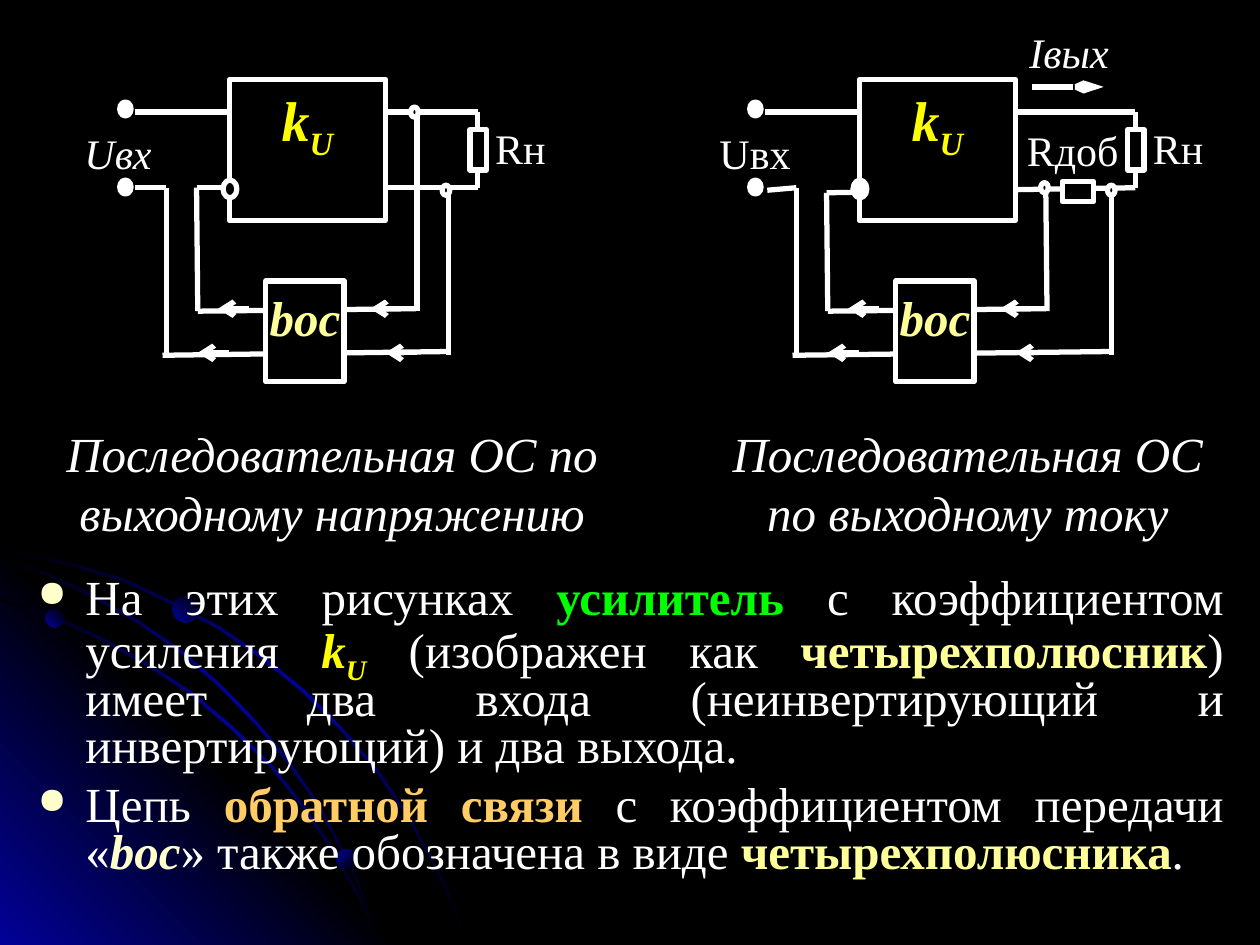
from lxml.etree import SubElement
from pptx import Presentation
from pptx.dml.color import RGBColor
from pptx.enum.shapes import MSO_CONNECTOR, MSO_SHAPE
from pptx.enum.text import MSO_ANCHOR, PP_ALIGN
from pptx.oxml.ns import qn
from pptx.util import Inches, Pt

WHITE = RGBColor(0xFF, 0xFF, 0xFF)
BLACK = RGBColor(0x00, 0x00, 0x00)
BLUE = RGBColor(0x01, 0x01, 0x99)
GREEN = RGBColor(0x00, 0xFF, 0x00)
YELLOW = RGBColor(0xFF, 0xFF, 0x00)
PALE = RGBColor(0xFF, 0xFF, 0x99)
CREAM = RGBColor(0xFF, 0xFF, 0xCC)
ORANGE = RGBColor(0xFF, 0xCC, 0x66)
FONT = "Times New Roman"

# The slide is a grid of 10 columns by 7.5 rows
COLS, ROWS = 10, 7.5
prs = Presentation()
prs.slide_width, prs.slide_height = Inches(COLS), Inches(ROWS)
CELL = prs.slide_width / COLS
s = prs.slides.add_slide(prs.slide_layouts[6])
s.background.fill.solid()
s.background.fill.fore_color.rgb = BLACK


def grid(*values):
    return [round(v * CELL) for v in values]


def add_run(p, text, size=28, color=WHITE, bold=False, italic=False, sub=False):
    r = p.add_run()
    r.text = text
    f = r.font
    f.name, f.size, f.bold, f.italic = FONT, Pt(size), bold, italic
    f.color.rgb = color
    if sub:
        f._element.set("baseline", "-25000")


def set_frame(sp, inset_x=0, inset_y=0, align=PP_ALIGN.LEFT):
    tf = sp.text_frame
    tf.word_wrap, tf.vertical_anchor = True, MSO_ANCHOR.TOP
    tf.margin_left = tf.margin_right = Inches(inset_x)
    tf.margin_top = tf.margin_bottom = Inches(inset_y)
    tf.paragraphs[0].alignment = align
    return tf


def label(x, y, w, h, text, align=PP_ALIGN.LEFT, **fmt):
    sp = s.shapes.add_textbox(*grid(x, y, w, h))
    add_run(set_frame(sp, align=align).paragraphs[0], text, **fmt)


def outlined(kind, x, y, w, h, fill=BLACK):
    sp = s.shapes.add_shape(kind, *grid(x, y, w, h))
    sp.shadow.inherit = False
    sp.fill.solid()
    sp.fill.fore_color.rgb = fill
    sp.line.color.rgb, sp.line.width = WHITE, Pt(3)
    return sp


def wire(x1, y1, x2, y2, head=None):
    c = s.shapes.add_connector(MSO_CONNECTOR.STRAIGHT, *grid(x1, y1, x2, y2))
    c.line.color.rgb, c.line.width = WHITE, Pt(3)
    if head:
        SubElement(c.line._get_or_add_ln(), qn("a:tailEnd"),
                   type="arrow", w=head[0], len=head[1])
    SubElement(c._element.spPr, qn("a:effectLst"))


def shade(sp, colors, angle):
    """Spread the colours evenly along a clockwise angle."""
    sp.shadow.inherit = False
    sp.line.fill.background()
    sp.fill.gradient()
    sp.fill.gradient_angle = 360 - angle
    stops = sp._element.spPr.find(".//" + qn("a:gsLst"))
    for gs in list(stops):
        stops.remove(gs)
    for i, color in enumerate(colors):
        gs = SubElement(stops, qn("a:gs"), pos=str(i * 100000 // (len(colors) - 1)))
        SubElement(gs, qn("a:srgbClr"), val=str(color))


def outline(points):
    first, *rest = [grid(*pt) for pt in points]
    fb = s.shapes.build_freeform(*first)
    fb.add_line_segments(rest, close=True)
    return fb.convert_to_shape()


# Background: glowing corner, thin orbits and their planets
def backdrop(bottom):
    orbits = [
        [(0, 4.35), (0.57, 4.47), (0.98, 4.59), (1.36, 4.77), (1.74, 4.97), (2.09, 5.21),
         (2.42, 5.48), (2.72, 5.78), (3, 6.11), (3.25, 6.48), (3.52, 6.98), (3.72, bottom)],
        [(0, 4.75), (0.41, 4.88), (0.79, 5.05), (1.17, 5.26), (1.52, 5.49), (1.84, 5.76),
         (2.15, 6.06), (2.42, 6.4), (2.66, 6.76), (2.86, 7.12), (3.03, bottom)],
        [(0, 4.42), (0.39, 4.55), (0.76, 4.73), (1.11, 4.93), (1.44, 5.16), (1.75, 5.43),
         (2.04, 5.73), (2.29, 6.03), (2.54, 6.39), (2.82, 6.93), (3.03, bottom)]]
    corner = [(3.22, bottom), (0, bottom), (0, bottom - 3.22)]

    def orbit(points):
        inner = [(max(x - 0.01, 0), min(y + 0.02, bottom)) for x, y in points]
        shade(outline(points + inner[::-1]), [BLACK, BLUE, BLACK], 225)

    orbit(orbits[0])
    shade(outline(corner), [BLUE, BLACK, BLUE], 135)
    for points in orbits[1:]:
        orbit(points)
    for x, y, d, angle in [(0.36, 4.83, 0.15, 135), (2.67, 6.74, 0.16, 225),
                           (1.37, 4.73, 0.21, 135)]:
        planet = s.shapes.add_shape(MSO_SHAPE.OVAL, *grid(x, y, d, d))
        shade(planet, [BLACK, BLUE], angle)


# Feedback circuit in the half of the slide that starts at column x
def circuit(x, load, invert_y, input_y, input_x, taps, nodes, invert_fill):
    wires = [(load, 0.89, load, 1.49), (1.56, invert_y, load, 1.49),
             (1.07, 0.89, load, 0.89), (1.57, 2.47, 3.3, 2.45),
             (1.29, 2.82, taps[1][2], 2.79), (1.56, invert_y, 1.57, 2.47),
             (1.32, 1.49, 1.32, 2.82), (input_x, input_y, 1.32, 1.49), *taps]
    for x1, y1, x2, y2 in wires:
        wire(x + x1, y1, x + x2, y2)
    for tip, y in [(3.06, 2.8), (1.57, 2.8), (2.94, 2.45), (1.73, 2.45)]:
        wire(x + tip + 0.25, y, x + tip, y, head=("med", "med"))

    # Amplifier and feedback blocks
    amp = outlined(MSO_SHAPE.RECTANGLE, x + 1.82, 0.63, 1.24, 1.12)
    p = set_frame(amp, 0.1, 0.05, PP_ALIGN.CENTER).paragraphs[0]
    add_run(p, "k", size=32, color=YELLOW, bold=True, italic=True)
    add_run(p, "U", size=32, color=YELLOW, bold=True, italic=True, sub=True)
    feedback = outlined(MSO_SHAPE.RECTANGLE, x + 2.11, 2.23, 0.62, 0.8)
    p = set_frame(feedback, 0, 0.05, PP_ALIGN.CENTER).paragraphs[0]
    add_run(p, "bос", color=PALE, bold=True, italic=True)

    # Load, inverting input, terminals and nodes
    outlined(MSO_SHAPE.RECTANGLE, x + load - 0.06, 1.03, 0.13, 0.32)
    outlined(MSO_SHAPE.OVAL, x + 1.77, 1.43, 0.11, 0.14, invert_fill)
    for y in (0.81, 1.43):
        outlined(MSO_SHAPE.OVAL, x + 0.95, y, 0.09, 0.11, WHITE)
    label(x + load + 0.14, 0.97, 0.5, 0.38, "Rн", size=24)
    return [(x + nx, ny, 0.06, 0.08) for nx, ny in nodes]


def voltage_circuit(x):
    nodes = circuit(x, 3.79, 1.49, 1.49, 1.07,
                    [(3.31, 0.89, 3.31, 2.47), (3.56, 1.49, 3.56, 2.82)],
                    [(3.51, 1.47), (3.26, 0.85)], BLACK)
    for node in nodes:
        outlined(MSO_SHAPE.OVAL, *node)
    label(x + 0.67, 1.01, 0.65, 0.38, "Uвх", size=24, italic=True)
    label(x + 0.35, 3.36, 4.57, 1.02, "Последовательная ОС по выходному напряжению",
          align=PP_ALIGN.CENTER, italic=True)


def current_circuit(x):
    nodes = circuit(x, 4.01, 1.53, 1.51, 1.09,
                    [(3.3, 1.51, 3.31, 2.47), (3.82, 1.49, 3.82, 2.82)],
                    [(3.26, 1.45), (3.79, 1.47)], WHITE)
    outlined(MSO_SHAPE.RECTANGLE, x + 3.43, 1.44, 0.25, 0.16)
    for node in nodes:
        outlined(MSO_SHAPE.OVAL, *node)
    label(x + 0.71, 1.01, 0.61, 0.38, "Uвх", size=24)
    label(x + 3.15, 0.99, 0.75, 0.4, "Rдоб", size=24)
    label(x + 3.17, 0.21, 0.77, 0.38, "Iвых", size=24, italic=True)
    wire(x + 3.19, 0.69, x + 3.76, 0.69, head=("sm", "lg"))
    label(x + 0.72, 3.36, 3.92, 1.02, "Последовательная ОС по выходному току",
          align=PP_ALIGN.CENTER, italic=True)


# Bulleted explanation
def explanation(x, y, w, h):
    strong, symbol = dict(bold=True), dict(bold=True, italic=True)
    bullets = [
        [("На этих рисунках ", {}), ("усилитель", dict(strong, color=GREEN)),
         (" с коэффициентом усиления ", {}), ("k", dict(symbol, color=YELLOW)),
         ("U", dict(symbol, color=YELLOW, sub=True)), (" (изображен как ", {}),
         ("четырехполюсник", dict(strong, color=PALE)),
         (") имеет два входа (неинвертирующий и инвертирующий) и два выхода.", {})],
        [("Цепь ", {}), ("обратной связи", dict(strong, color=ORANGE)),
         (" с коэффициентом передачи «", {}), ("bос", dict(symbol, color=CREAM)),
         ("» также обозначена в виде ", {}),
         ("четырехполюсника", dict(strong, color=PALE)), (".", {})]]
    tf = set_frame(s.shapes.add_textbox(*grid(x, y, w, h)), 0.1, 0.05)
    for i, runs in enumerate(bullets):
        p = tf.add_paragraph() if i else tf.paragraphs[0]
        p.alignment, p.line_spacing = PP_ALIGN.JUSTIFY, 0.8
        p.space_before = Pt(7 if i else 0)
        pPr = p._p.get_or_add_pPr()
        pPr.set("marL", str(Inches(0.38)))
        pPr.set("indent", str(-Inches(0.38)))
        SubElement(SubElement(pPr, qn("a:buClr")), qn("a:srgbClr"), val=str(CREAM))
        SubElement(pPr, qn("a:buSzPct"), val="75000")
        SubElement(pPr, qn("a:buChar"), char="●")
        for text, fmt in runs:
            add_run(p, text, **fmt)


backdrop(ROWS)
explanation(0.2, 4.54, 9.61, 2.76)
voltage_circuit(0)
current_circuit(COLS / 2)
prs.save("out.pptx")
